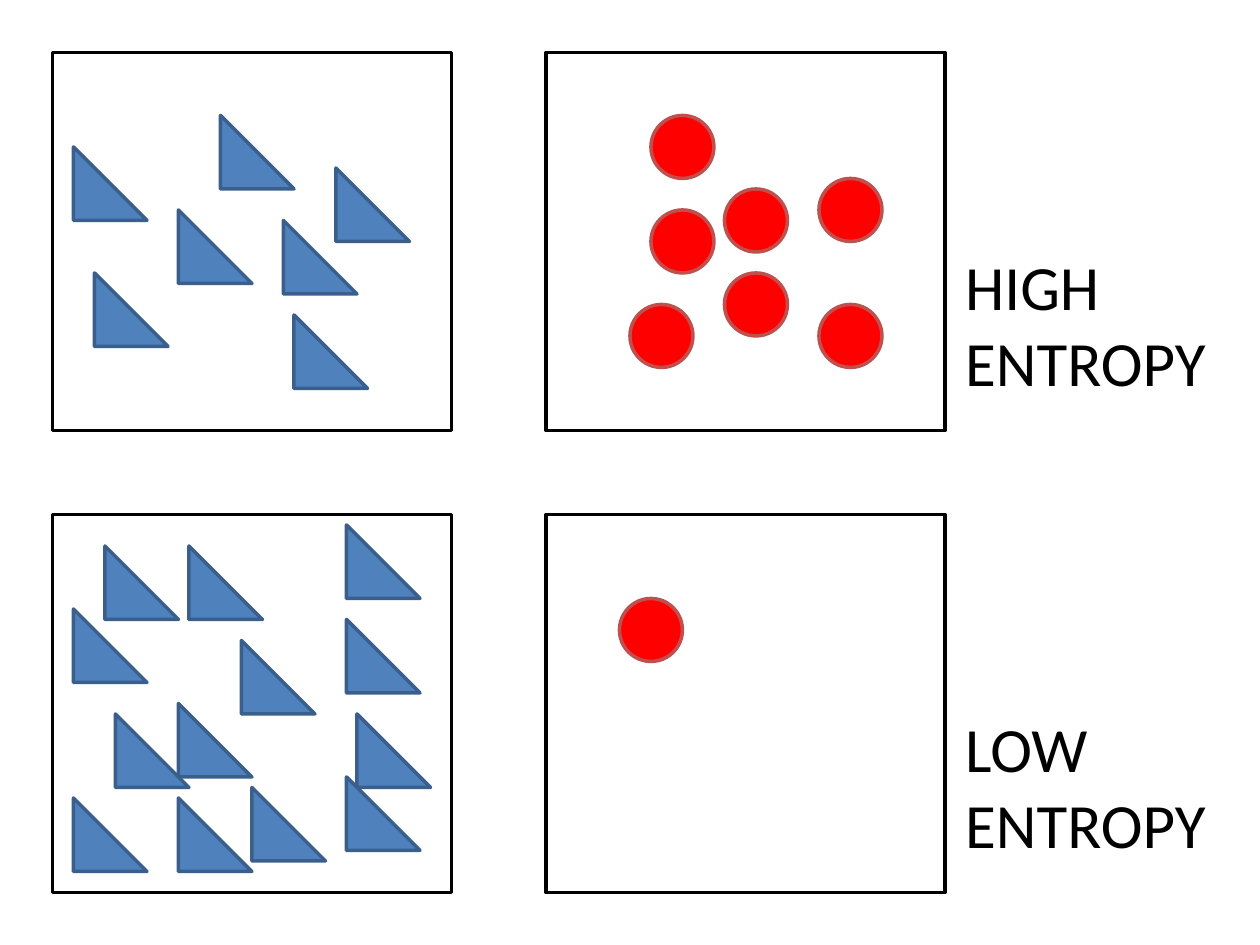
from pptx import Presentation, util as u
from pptx.dml.color import RGBColor
from pptx.enum import shapes, text

BLACK = RGBColor(0x00, 0x00, 0x00)
BLUE = RGBColor(0x4F, 0x81, 0xBD)
DARK_BLUE = RGBColor(0x3A, 0x5F, 0x8C)
RED = RGBColor(0xFF, 0x00, 0x00)
DARK_RED = RGBColor(0xC0, 0x50, 0x4D)

GRID = 2.54 / 12  # centimetres per grid step
PANEL_WIDTH, PANEL_HEIGHT = 38, 36
PANEL_PITCH = 47
MARGIN, ROW_PITCH = 5, 44
TRIANGLE_SIZE, CIRCLE_SIZE = 7, 6

# Grid steps from the top left corner of the panel
HIGH_TRIANGLES = [(2, 9), (12, 15), (4, 21), (27, 11), (16, 6), (22, 16), (23, 25)]
HIGH_CIRCLES = [(10, 15), (8, 24), (10, 6), (26, 12), (17, 21), (17, 13), (26, 24)]
LOW_TRIANGLES = [(2, 9), (6, 19), (12, 18), (29, 19), (5, 3), (12, 27), (19, 26),
                 (18, 12), (2, 27), (28, 25), (13, 3), (28, 10), (28, 1)]
LOW_CIRCLES = [(7, 8)]


def steps(count):
    """Convert grid steps to a length."""
    return u.Cm(count * GRID)


def add_outlined(page, kind, left, top, width, height, line, fill=None):
    shape = page.shapes.add_shape(kind, *map(steps, (left, top, width, height)))
    shape.shadow.inherit = False
    if fill is None:
        shape.fill.background()
    else:
        shape.fill.solid()
        shape.fill.fore_color.rgb = fill
    shape.line.color.rgb = line
    shape.line.width = u.Pt(2)


def add_text(page, lines, left, top, width, height, size=36, font="Calibri", color=BLACK):
    box = page.shapes.add_textbox(*map(steps, (left, top, width, height)))
    frame = box.text_frame
    frame.word_wrap = False
    frame.auto_size = text.MSO_AUTO_SIZE.SHAPE_TO_FIT_TEXT
    for index, line in enumerate(lines):
        para = frame.add_paragraph() if index else frame.paragraphs[0]
        span = para.add_run()
        span.text = line
        span.font.size = u.Pt(size)
        span.font.name = font
        span.font.color.rgb = color


def add_panel(page, left, top, kind, size, places, fill, line):
    """Draw a framed panel with one particle at each place."""
    for x, y in places:
        add_outlined(page, kind, left + x, top + y, size, size, line, fill)
    add_outlined(page, shapes.MSO_SHAPE.RECTANGLE, left, top,
                 PANEL_WIDTH, PANEL_HEIGHT, BLACK)


def add_entropy_row(page, left, top, level, triangles, circles):
    add_panel(page, left, top, shapes.MSO_SHAPE.RIGHT_TRIANGLE, TRIANGLE_SIZE,
              triangles, BLUE, DARK_BLUE)
    add_panel(page, left + PANEL_PITCH, top, shapes.MSO_SHAPE.OVAL, CIRCLE_SIZE,
              circles, RED, DARK_RED)
    label_left = left + PANEL_PITCH + PANEL_WIDTH + 0.75
    add_text(page, [level, "ENTROPY"], label_left, top + 18, 25.5, 15.75)


def main():
    deck = Presentation()
    deck.slide_width, deck.slide_height = u.Cm(25.4), u.Cm(19.05)
    page = deck.slides.add_slide(deck.slide_layouts[6])
    add_entropy_row(page, MARGIN, MARGIN, "HIGH", HIGH_TRIANGLES, HIGH_CIRCLES)
    add_entropy_row(page, MARGIN, MARGIN + ROW_PITCH, "LOW", LOW_TRIANGLES, LOW_CIRCLES)
    deck.save("out.pptx")


if __name__ == "__main__":
    main()
